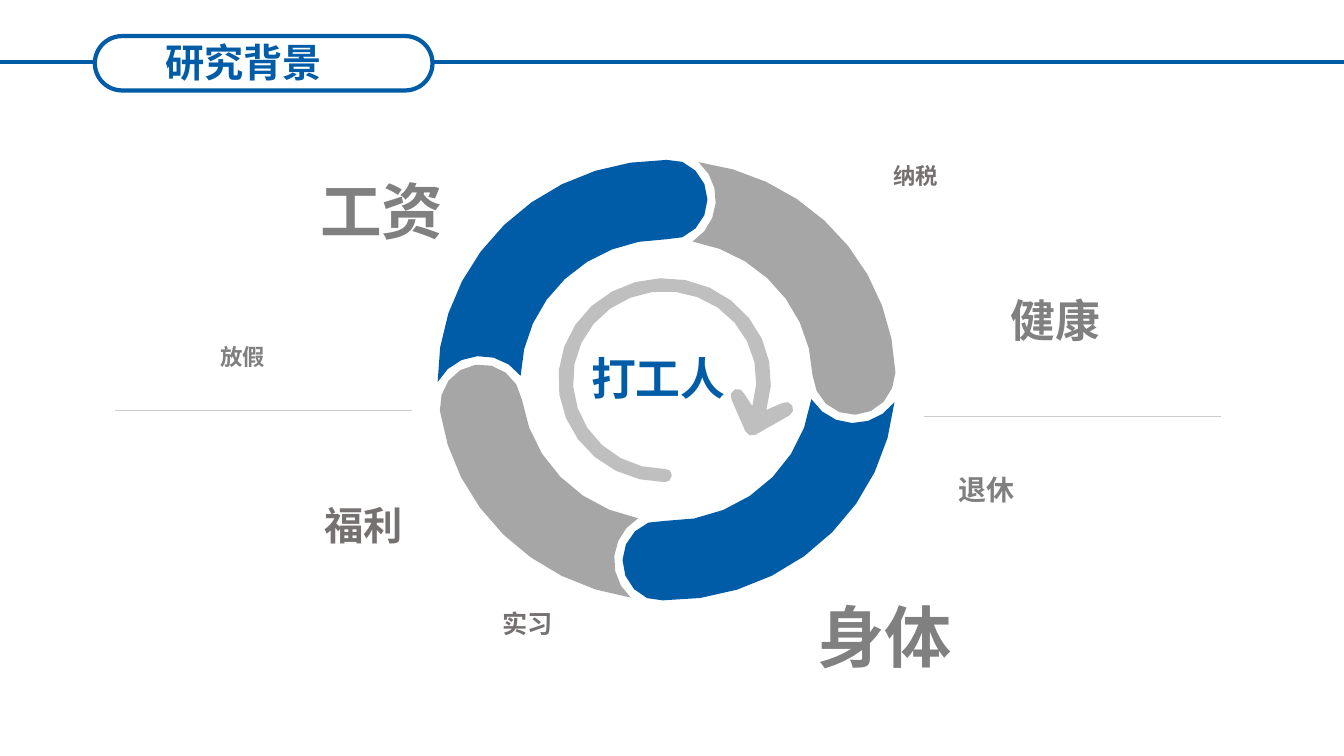
import math

import lxml.etree
import pptx
import pptx.dml.color
import pptx.enum.shapes
import pptx.enum.text
import pptx.oxml.ns
import pptx.util

Cm = pptx.util.Cm
Align = pptx.enum.text.PP_ALIGN
Anchor = pptx.enum.text.MSO_ANCHOR
qn = pptx.oxml.ns.qn

BLUE = pptx.dml.color.RGBColor(0x00, 0x5C, 0xA7)
SEGMENT_GREY = pptx.dml.color.RGBColor(0xA6, 0xA6, 0xA6)
ARROW_GREY = pptx.dml.color.RGBColor(0xBF, 0xBF, 0xBF)
RULE_GREY = pptx.dml.color.RGBColor(0xCC, 0xCC, 0xCC)
TEXT_GREY = pptx.dml.color.RGBColor(0x80, 0x80, 0x80)
WARM_GREY = pptx.dml.color.RGBColor(0x76, 0x71, 0x71)
FONT = "Noto Sans CJK SC"

TITLE = ("研究背景", (1.85, 0.84, 8.59, 1.45), 28)
PILL = (2.39, 0.91, 8.51, 1.37)
CENTRE_LABEL = ("打工人", (15.06, 8.43, 3.07, 2.18), 32)
LABELS = [
    ("工资", (7.82, 4.24, 3.66, 2.13), 44, TEXT_GREY, Align.LEFT),
    ("放假", (5.31, 8.51, 1.65, 0.94), 16, TEXT_GREY, Align.LEFT),
    ("身体", (20.29, 14.88, 3.94, 2.31), 48, TEXT_GREY, Align.RIGHT),
    ("退休", (23.52, 11.79, 2.31, 1.12), 20, TEXT_GREY, Align.RIGHT),
    ("健康", (25.45, 7.24, 2.31, 0.97), 32, TEXT_GREY, Align.CENTER),
    ("实习", (12.14, 15.21, 2.31, 0.97), 18, WARM_GREY, Align.CENTER),
    ("纳税", (21.92, 3.96, 2.31, 0.97), 16, WARM_GREY, Align.CENTER),
    ("福利", (8, 12.52, 2.31, 0.97), 28, WARM_GREY, Align.CENTER),
]
RULES = [
    (23.29, 30.78, 10.49, RULE_GREY, 0.5),
    (2.9, 10.39, 10.34, RULE_GREY, 0.5),
    (10.92, 33.87, 1.57, BLUE, 3),
    (0, 2.39, 1.57, BLUE, 3),
]

RING_CENTRE = (16.8, 9.58)
RING_OUTER = (5.77, 5.55)
RING_MIDDLE = (4.72, 4.55)
RING_INNER = (3.68, 3.55)
CAP_RADIUS = 1.03
NOTCH_RADIUS = 1.24
JOINTS = [-98, 0, 88, 181, 262]
SEGMENT_COLOURS = [BLUE, SEGMENT_GREY, BLUE, SEGMENT_GREY]

ARROW_CENTRE = (16.75, 9.58)
ARROW_OUTER = (2.68, 2.57)
ARROW_INNER = (2.31, 2.24)
ARROW_NECK = 107
ARROW_ROUND = (0.18, 0.18)
ARROW_ENDS = [
    ((18.59, 9.98), 75, -120),
    ((18.95, 10.8), 250, 150),
    ((19.81, 10.31), 150, -30),
]
ARROW_TAIL = (16.75, 11.98)
FLATNESS = 0.02


def on_ellipse(centre, radii, bearing):
    angle = math.radians(bearing)
    return (centre[0] + radii[0] * math.sin(angle), centre[1] - radii[1] * math.cos(angle))


def arc(centre, radii, start, end):
    largest_step = math.degrees(2 * math.acos(1 - FLATNESS / max(radii)))
    steps = math.ceil(abs(end - start) / largest_step)
    return [on_ellipse(centre, radii, start + (end - start) * i / steps) for i in range(steps + 1)]


def bearing_from(centre, point):
    return math.degrees(math.atan2(point[0] - centre[0], centre[1] - point[1]))


def trimmed_arc(radii, start, end, joint):
    while math.dist(on_ellipse(RING_CENTRE, radii, start), joint) < NOTCH_RADIUS:
        start += 0.25
    return arc(RING_CENTRE, radii, start, end)


def segment_outline(start, end):
    start_joint = on_ellipse(RING_CENTRE, RING_MIDDLE, start)
    end_joint = on_ellipse(RING_CENTRE, RING_MIDDLE, end)
    outer = trimmed_arc(RING_OUTER, start, end, start_joint)
    inner = trimmed_arc(RING_INNER, start, end, start_joint)
    cap = arc(end_joint, (CAP_RADIUS, CAP_RADIUS), end, end + 180)
    notch_start = bearing_from(start_joint, inner[0])
    sweep = (notch_start - bearing_from(start_joint, outer[0])) % 360
    notch = arc(start_joint, (NOTCH_RADIUS, NOTCH_RADIUS), notch_start, notch_start - sweep)
    return outer + cap[1:-1] + inner[::-1] + notch[1:-1]


def arrow_outline():
    points = arc(ARROW_CENTRE, ARROW_INNER, -180, ARROW_NECK)
    for centre, start, end in ARROW_ENDS:
        points += arc(centre, ARROW_ROUND, start, end)
    points += arc(ARROW_CENTRE, ARROW_OUTER, ARROW_NECK, -180)
    return points + arc(ARROW_TAIL, ARROW_ROUND, 180, 0)[1:-1]


def add_outline(page, points, colour):
    corners = [(Cm(x), Cm(y)) for x, y in points]
    builder = page.shapes.build_freeform(*corners[0])
    builder.add_line_segments(corners[1:], close=True)
    shape = builder.convert_to_shape()
    shape.shadow.inherit = False
    shape.fill.solid()
    shape.fill.fore_color.rgb = colour
    shape.line.fill.background()


def add_rule(page, left, right, height, colour, weight):
    rule = page.shapes.add_connector(
        pptx.enum.shapes.MSO_CONNECTOR.STRAIGHT, Cm(left), Cm(height), Cm(right), Cm(height))
    rule.line.color.rgb = colour
    rule.line.width = pptx.util.Pt(weight)
    lxml.etree.SubElement(rule._element.spPr, qn("a:effectLst"))


def write_text(box, text, size, colour, align, anchor, wrap):
    frame = box.text_frame
    frame.word_wrap = wrap
    frame.auto_size = pptx.enum.text.MSO_AUTO_SIZE.NONE
    frame.vertical_anchor = anchor
    frame.text = text
    para = frame.paragraphs[0]
    para.alignment = align
    para.line_spacing = 1.0
    para.space_before = pptx.util.Pt(0)
    para.font.size = pptx.util.Pt(size)
    para.font.bold = True
    para.font.color.rgb = colour
    para.font.name = FONT
    defaults = para._p.pPr.find(qn("a:defRPr"))
    defaults.find(qn("a:latin")).addnext(
        defaults.makeelement(qn("a:ea"), {"typeface": FONT}))


def add_label(page, text, place, size, colour, align, anchor=Anchor.TOP):
    box = page.shapes.add_textbox(*map(Cm, place))
    write_text(box, text, size, colour, align, anchor, False)


def main():
    deck = pptx.Presentation()
    deck.slide_width, deck.slide_height = Cm(33.87), Cm(19.05)
    page = deck.slides.add_slide(deck.slide_layouts[5])

    text, place, size = TITLE
    title = page.shapes.title
    title.left, title.top, title.width, title.height = map(Cm, place)
    write_text(title, text, size, BLUE, Align.CENTER, Anchor.TOP, True)

    pill = page.shapes.add_shape(
        pptx.enum.shapes.MSO_SHAPE.ROUNDED_RECTANGLE, *map(Cm, PILL))
    pill.adjustments[0] = 0.5
    pill.shadow.inherit = False
    pill.fill.background()
    pill.line.color.rgb = BLUE
    pill.line.width = pptx.util.Pt(3)

    for rule in RULES:
        add_rule(page, *rule)
    for start, end, colour in zip(JOINTS, JOINTS[1:], SEGMENT_COLOURS):
        add_outline(page, segment_outline(start, end), colour)
    add_outline(page, arrow_outline(), ARROW_GREY)
    add_label(page, *CENTRE_LABEL, BLUE, Align.CENTER, Anchor.MIDDLE)
    for label in LABELS:
        add_label(page, *label)

    deck.save("out.pptx")


if __name__ == "__main__":
    main()
